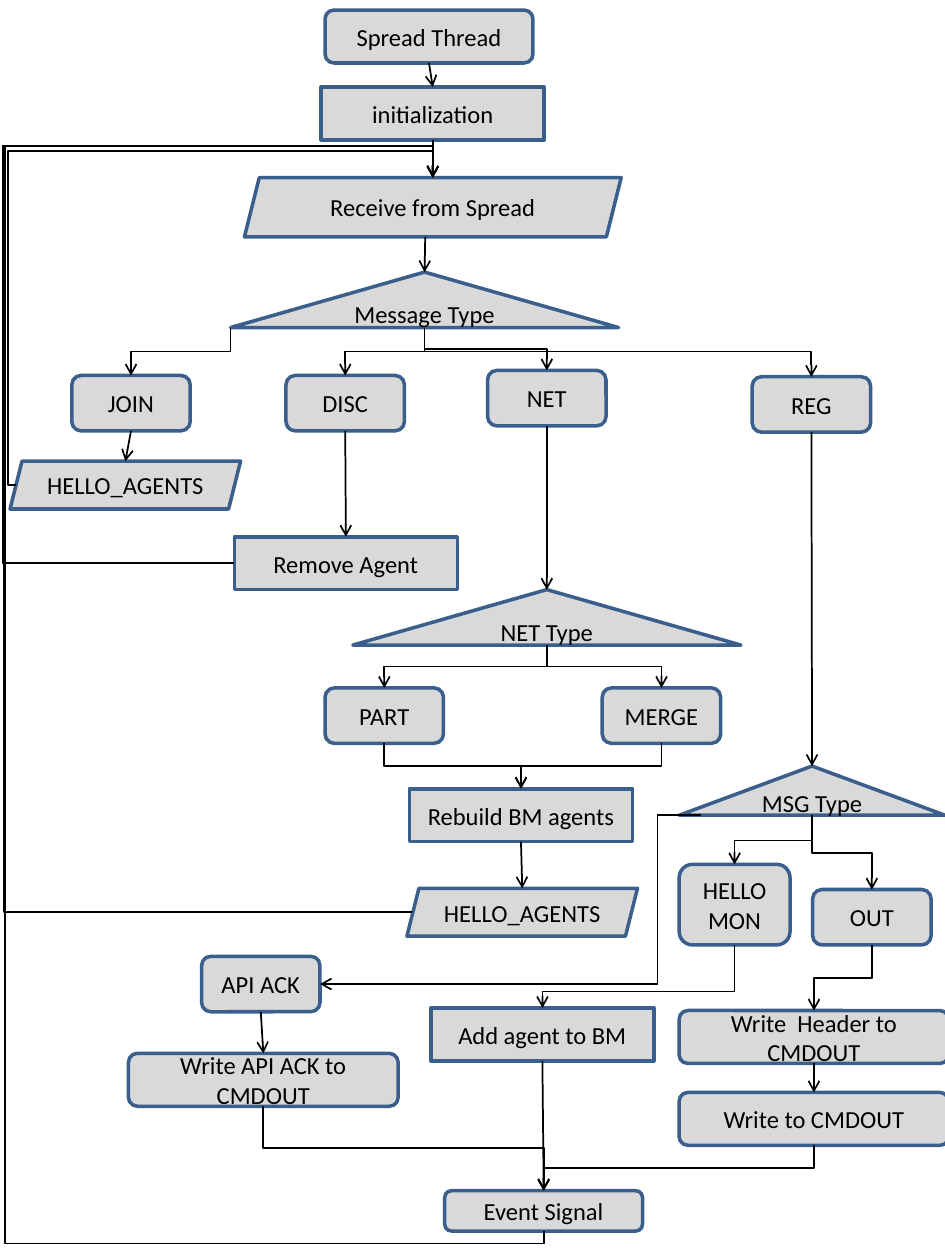
from pptx import Presentation
from pptx.dml.color import RGBColor as Rgb
from pptx.enum.shapes import MSO_CONNECTOR as Wire, MSO_SHAPE as Form
from pptx.enum.text import MSO_ANCHOR as Anchor, PP_ALIGN as Align
from pptx.oxml.ns import qn
from pptx.util import Inches, Pt
from lxml import etree

HUES = {"fill": "D9D9D9", "edge": "3A5F8C", "ink": "000000"}
FONT = {"name": "Calibri", "size": Pt(14), "bold": False}
FRAME = {"word_wrap": True, "vertical_anchor": Anchor.MIDDLE}

# Kinds of node: preset shape, width, height
KINDS = {
    "start": (Form.ROUNDED_RECTANGLE, 1.65, 0.42),
    "act": (Form.RECTANGLE, 1.77, 0.42),
    "read": (Form.PARALLELOGRAM, 2.99, 0.47),
    "send": (Form.PARALLELOGRAM, 1.83, 0.38),
    "test": (Form.ISOSCELES_TRIANGLE, 3.08, 0.44),
    "fork": (Form.ISOSCELES_TRIANGLE, 2.11, 0.39),
    "case": (Form.FLOWCHART_ALTERNATE_PROCESS, 0.94, 0.44),
    "tall": (Form.FLOWCHART_ALTERNATE_PROCESS, 0.88, 0.64),
    "write": (Form.FLOWCHART_ALTERNATE_PROCESS, 2.14, 0.42),
    "end": (Form.FLOWCHART_ALTERNATE_PROCESS, 1.57, 0.32),
}

deck = Presentation()
deck.slide_width, deck.slide_height = Inches(7.5), Inches(10)
slide = deck.slides.add_slide(deck.slide_layouts[6])
nodes = {}


def style(item, values):
    for key, val in values.items():
        setattr(item, key, val)


def hue(name):
    return Rgb.from_string(HUES[name])


def node(box, key, kind, x, y, text):
    """Place a labelled shape at an offset from the box."""
    form, wide, high = KINDS[kind]
    left, top = box[0] + x, box[1] + y
    shape = slide.shapes.add_shape(
        form, Inches(left), Inches(top), Inches(wide), Inches(high))
    shape.shadow.inherit = False
    shape.fill.solid()
    shape.fill.fore_color.rgb = hue("fill")
    shape.line.color.rgb = hue("edge")
    shape.line.width = Pt(2)
    frame = shape.text_frame
    style(frame, FRAME)
    para = frame.paragraphs[0]
    para.alignment = Align.CENTER
    run = para.add_run()
    run.text = text
    style(run.font, FONT)
    run.font.color.rgb = hue("ink")
    nodes[key] = (left, top, wide, high)


def spot(key, side, shift=0):
    """Point on a side of a node; "c" is its lower left corner."""
    left, top, wide, high = nodes[key]
    part = {"t": (0.5, 0), "b": (0.5, 1), "l": (0, 0.5),
            "r": (1, 0.5), "c": (0, 1)}[side]
    return left + part[0] * wide + shift, top + part[1] * high


def link(start, end, bends=(), down=True):
    """Arrow; bends hold the turning positions, on alternating axes."""
    (x1, y1), (x2, y2) = start, end
    kind = Wire.ELBOW if bends else Wire.STRAIGHT
    wire = slide.shapes.add_connector(
        kind, Inches(x1), Inches(y1), Inches(x2), Inches(y2))
    wire.line.color.rgb = hue("ink")
    wire.line.width = Pt(1)
    props = wire._element.spPr
    if bends:
        axes = [(x1, x2), (y1, y2)]
        if down:
            axes.reverse()
            wide, high = abs(y2 - y1), abs(x2 - x1)
            style(wire, {"left": Inches((x1 + x2 - wide) / 2),
                         "top": Inches((y1 + y2 - high) / 2),
                         "width": Inches(wide), "height": Inches(high)})
            form = props.find(qn("a:xfrm"))
            form.set("rot", "5400000")
            form.set("flipH", str(int(y2 < y1)))
            form.set("flipV", str(int(x2 > x1)))
        geom = props.find(qn("a:prstGeom"))
        geom.set("prst", f"bentConnector{len(bends) + 2}")
        marks = geom.find(qn("a:avLst"))
        for i, bend in enumerate(bends):
            a, b = axes[i % 2]
            ratio = round((bend - a) / (b - a) * 100000)
            etree.SubElement(marks, qn("a:gd"), name=f"adj{i + 1}",
                             fmla=f"val {ratio}")
    etree.SubElement(props.find(qn("a:ln")), qn("a:tailEnd"), type="arrow")
    etree.SubElement(props, qn("a:effectLst"))


def drop(key, goal, bend=None, shift=0):
    """Arrow from the bottom of one node to the top of another."""
    link(spot(key, "b", shift), spot(goal, "t"), (bend,) if bend else ())


# Start, reception and the four message types
def intake(box):
    for row in [
        ("start", "start", 2.5, 0, "Spread Thread"),
        ("init", "act", 2.47, 0.61, "initialization"),
        ("read", "read", 1.86, 1.33, "Receive from Spread"),
        ("type", "test", 1.75, 2.08, "Message Type"),
        ("join", "case", 0.49, 2.9, "JOIN"),
        ("disc", "case", 2.19, 2.9, "DISC"),
        ("net", "case", 3.79, 2.86, "NET"),
        ("reg", "case", 5.89, 2.91, "REG"),
        ("hello", "send", 0, 3.58, "HELLO_AGENTS"),
        ("drop", "act", 1.78, 4.18, "Remove Agent"),
    ]:
        node(box, *row)
    for key, goal, shift in [("start", "init", 0), ("init", "read", 0),
                             ("read", "type", -0.06), ("join", "hello", 0),
                             ("disc", "drop", 0)]:
        drop(key, goal, shift=shift)
    level = box[1] + 2.71
    link(spot("type", "c"), spot("join", "t"), (level,))
    for goal, rise in [("disc", 0), ("net", 0.02), ("reg", 0)]:
        drop("type", goal, level - rise)


# Network changes
def change(box):
    for row in [
        ("kind", "test", 0.22, 0, "NET Type"),
        ("part", "case", 0, 0.78, "PART"),
        ("merge", "case", 2.2, 0.78, "MERGE"),
        ("build", "act", 0.67, 1.58, "Rebuild BM agents"),
        ("greet", "send", 0.65, 2.37, "HELLO_AGENTS"),
    ]:
        node(box, *row)
    drop("net", "kind")
    for case in ("part", "merge"):
        drop("kind", case, box[1] + 0.61)
        drop(case, "build", box[1] + 1.4)
    drop("build", "greet")


# Regular messages
def regular(box):
    for row in [
        ("msg", "fork", 0, 0, "MSG Type"),
        ("mon", "tall", 0, 0.78, "HELLO MON"),
        ("out", "case", 1.06, 0.98, "OUT"),
        ("head", "write", 0, 1.94, "Write  Header to CMDOUT"),
        ("body", "write", 0, 2.59, "Write to CMDOUT"),
        ("add", "act", -1.97, 1.92, "Add agent to BM"),
        ("event", "end", -1.86, 3.37, "Event Signal"),
    ]:
        node(box, *row)
    for key, goal, bend in [
        ("msg", "mon", 0.59), ("msg", "out", 0.69), ("mon", "add", 1.79),
        ("out", "head", 1.68), ("body", "event", 3.19),
    ]:
        drop(key, goal, box[1] + bend)
    drop("reg", "msg")
    drop("head", "body")
    drop("add", "event")


# Acknowledgement
def reply(box):
    node(box, "ack", "case", 0.58, 0, "API ACK")
    node(box, "note", "write", 0, 0.77, "Write API ACK to CMDOUT")
    link(spot("msg", "c", 0.17), spot("ack", "r"), (box[0] + 4.2,), False)
    drop("ack", "note")
    drop("note", "event", box[1] + 1.52)


# Return paths to reception
def loops():
    goal = spot("read", "t")
    for key, shift, bends in [("hello", 0.05, (0.06, 1.2)),
                              ("drop", 0, (0.02, 1.16)),
                              ("greet", 0.04, (0.03, 1.16))]:
        link(spot(key, "l", shift), goal, bends, False)
    link(spot("event", "b"), goal, (9.87, 0.04, 1.16))


intake((0.08, 0.08))
change((2.58, 4.68))
regular((5.39, 6.08))
reply((1.02, 7.59))
loops()
deck.save("out.pptx")
